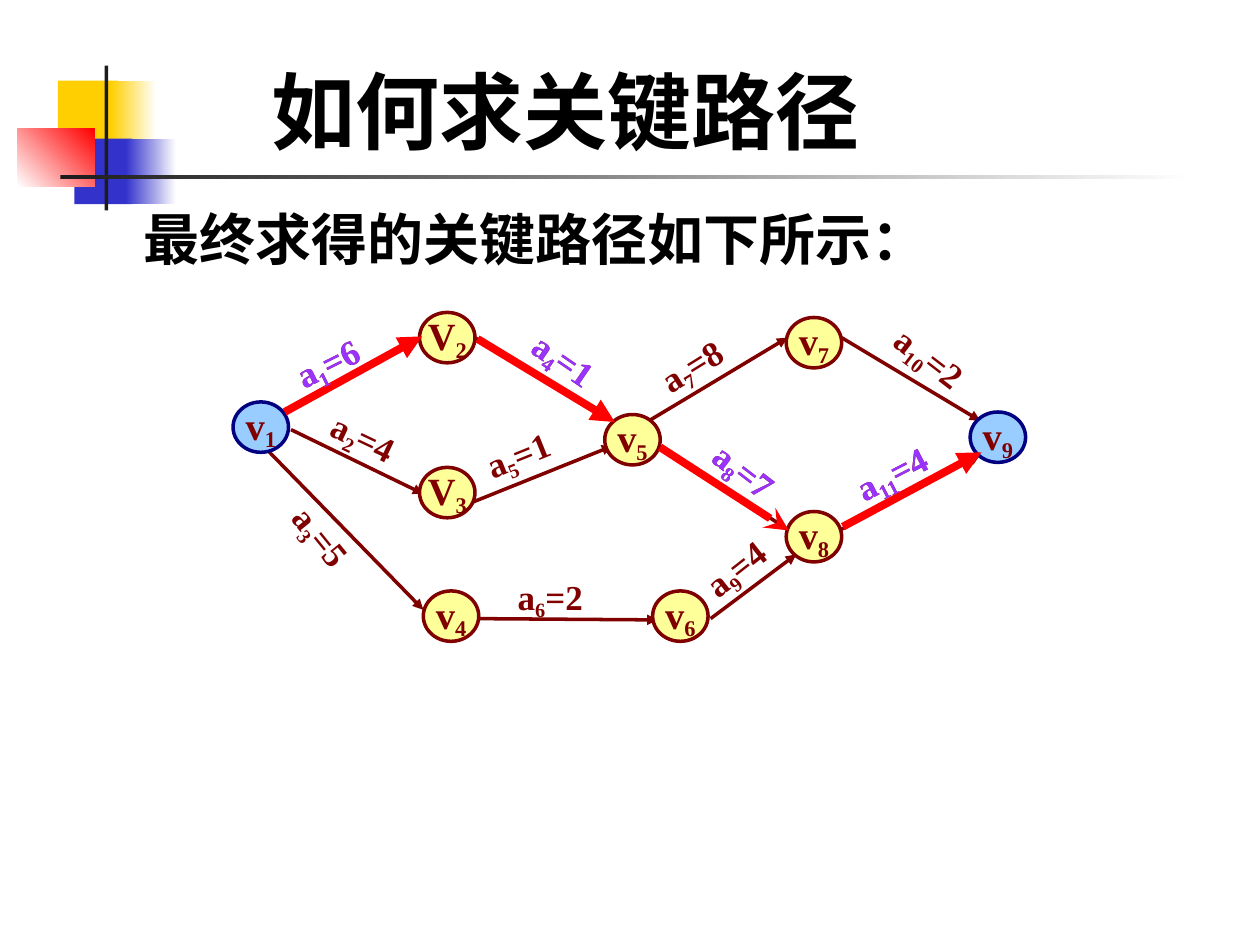
from lxml import etree
from pptx import Presentation
from pptx.dml.color import RGBColor
from pptx.enum.shapes import MSO_CONNECTOR, MSO_SHAPE
from pptx.enum.text import MSO_ANCHOR, MSO_AUTO_SIZE, PP_ALIGN
from pptx.oxml.ns import qn
from pptx.util import Inches, Pt

RECT, OVAL = MSO_SHAPE.RECTANGLE, MSO_SHAPE.OVAL
STRAIGHT = MSO_CONNECTOR.STRAIGHT
TOP, MIDDLE = MSO_ANCHOR.TOP, MSO_ANCHOR.MIDDLE
LEFT, CENTER = PP_ALIGN.LEFT, PP_ALIGN.CENTER
FIXED = MSO_AUTO_SIZE.NONE

FONT = "Times New Roman"
C = {"black": "000000", "white": "FFFFFF", "gold": "FFCF01", "blue": "3333CC",
     "red": "FF0000", "ink": "1C1C1C", "maroon": "800000", "navy": "000080",
     "sky": "99CCFF", "cream": "FFFF99", "violet": "9933FF"}

TITLE = "如何求关键路径"
LEAD = "最终求得的关键路径如下所示："

# Corner decoration: left, top, width, height, colours, gradient angle
DECOR = [
    (0.46, 0.64, 0.48, 0.52, ["gold"], 0),
    (0.88, 0.64, 0.36, 0.52, ["gold", "white"], 0),
    (0.59, 1.10, 0.46, 0.52, ["blue"], 0),
    (1.00, 1.10, 0.40, 0.52, ["blue", "white"], 0),
    (0.14, 1.02, 0.61, 0.46, ["white", "red"], 45),
    (0.83, 0.52, 0.03, 1.15, ["ink"], 0),
    (0.48, 1.39, 9.00, 0.03, ["ink", "white"], 0),
]

# Events: letter, number, left, top
NODE_W, NODE_H = 0.44, 0.4
TERMINALS = (1, 9)
NODES = [
    ("v", 1, 1.85, 3.19), ("V", 2, 3.33, 2.48), ("V", 3, 3.33, 3.71),
    ("v", 4, 3.36, 4.69), ("v", 5, 4.80, 3.29), ("v", 6, 5.18, 4.69),
    ("v", 8, 6.24, 4.06), ("v", 7, 6.24, 2.52), ("v", 9, 7.70, 3.27),
]

# Activities: number -> (duration, start, end, label left/top, label rotation)
EDGES = {
    1: (6, (2.24, 3.28), (3.33, 2.68), (2.25, 2.66), 333.5),
    2: (4, (2.31, 3.41), (3.36, 3.92), (2.52, 3.25), 25.4),
    3: (5, (2.13, 3.58), (3.36, 4.84), (2.18, 4.03), 51),
    4: (1, (3.77, 2.68), (4.86, 3.34), (4.11, 2.63), 34.4),
    5: (1, (3.74, 3.99), (4.86, 3.54), (3.76, 3.39), 338),
    6: (2, (3.81, 4.91), (5.22, 4.92), (4.01, 4.52), 0),
    7: (8, (5.15, 3.34), (6.25, 2.68), (5.14, 2.68), 328.2),
    8: (7, (5.23, 3.54), (6.25, 4.20), (5.54, 3.51), 37.5),
    9: (4, (5.64, 4.91), (6.32, 4.40), (5.49, 4.29), 321.9),
    10: (2, (6.68, 2.68), (7.78, 3.34), (6.97, 2.62), 37.5),
    11: (4, (6.68, 4.20), (7.78, 3.61), (6.69, 3.53), 332.9),
}

# Critical activities: number -> (shift right, shift down, arrowhead)
CRITICAL = {1: (0.02, -0.01, "triangle"), 4: (0.02, 0.01, "triangle"),
            11: (0.01, -0.02, "triangle"), 8: (0.01, 0.01, "stealth")}


def rgb(name):
    return RGBColor.from_string(C[name])


def place(s, left, top, width, height):
    s.left, s.top = Inches(left), Inches(top)
    s.width, s.height = Inches(width), Inches(height)


def write(s, text, size, color="maroon", align=LEFT, anchor=TOP, wrap=True,
          spacing=None):
    """Fill a shape with text; parts between underscores are subscripts."""
    tf = s.text_frame
    tf.word_wrap, tf.auto_size, tf.vertical_anchor = wrap, FIXED, anchor
    p = tf.paragraphs[0]
    p.alignment, p.line_spacing, p.space_before = align, spacing, Pt(0)
    for i, part in enumerate(text.split("_")):
        if not part:
            continue
        r = p.add_run()
        r.text = part
        r.font.name, r.font.size, r.font.bold = FONT, Pt(size), True
        r.font.color.rgb = rgb(color)
        if i % 2:
            r.font._element.set("baseline", "-20000")
    return p


def add_preset(shapes, kind, box, colors, angle=0, line=None):
    s = shapes.add_shape(kind, *map(Inches, box))
    s.shadow.inherit = False
    if len(colors) == 1:
        s.fill.solid()
        s.fill.fore_color.rgb = rgb(colors[0])
    else:
        s.fill.gradient()
        s.fill.gradient_angle = angle
        for i, stop in enumerate(s.fill.gradient_stops):
            stop.position, stop.color.rgb = i, rgb(colors[i])
    if line:
        s.line.color.rgb, s.line.width = rgb(line), Pt(2)
    else:
        s.line.fill.background()
    return s


def add_arrow(shapes, start, end, color, width, head="triangle"):
    s = shapes.add_connector(STRAIGHT, *map(Inches, start + end))
    s.line.color.rgb, s.line.width = rgb(color), Pt(width)
    etree.SubElement(s.line._get_or_add_ln(), qn("a:tailEnd"), type=head)
    etree.SubElement(s._element.spPr, qn("a:effectLst"))


def add_label(shapes, number, color):
    duration, _, _, (left, top), rotation = EDGES[number]
    width = 0.71 if number < 10 else 0.8
    s = shapes.add_textbox(*map(Inches, (left, top, width, 0.47)))
    s.rotation = rotation
    s.text_frame.margin_right = 0  # room to keep the label on one line
    write(s, f"a_{number}_={duration}", 20, color=color)


def main():
    prs = Presentation()
    prs.slide_width, prs.slide_height = Inches(10), Inches(7.5)
    slide = prs.slides.add_slide(prs.slide_layouts[1])
    shapes = slide.shapes

    # Title and lead sentence
    title, body = slide.placeholders
    place(title, 1.22, 0.42, 6.54, 0.9)
    write(title, TITLE, 48, color="black", align=CENTER)
    place(body, 1.04, 1.39, 7.34, 0.82)
    p = write(body, LEAD, 32, color="black", spacing=1.35)
    pPr = p._p.get_or_add_pPr()
    pPr.set("marL", "0")
    pPr.set("indent", "0")
    etree.SubElement(pPr, qn("a:buNone"))

    # Corner decoration
    for *box, colors, angle in DECOR:
        add_preset(shapes, RECT, box, colors, angle)

    # Activity network
    for _, start, end, _, _ in EDGES.values():
        add_arrow(shapes, start, end, "maroon", 2)
    for letter, number, left, top in NODES:
        fill, line = ("sky", "navy") if number in TERMINALS else ("cream", "maroon")
        s = add_preset(shapes, OVAL, (left, top, NODE_W, NODE_H), [fill], line=line)
        write(s, f"{letter}_{number}_", 22, align=CENTER, anchor=MIDDLE, wrap=False)
    for number in EDGES:
        add_label(shapes, number, "maroon")

    # Critical path on top
    for number, (dx, dy, head) in CRITICAL.items():
        start, end = [(x + dx, y + dy) for x, y in EDGES[number][1:3]]
        add_arrow(shapes, start, end, "red", 4.5, head)
    for number in CRITICAL:
        add_label(shapes, number, "violet")

    prs.save("out.pptx")


if __name__ == "__main__":
    main()
